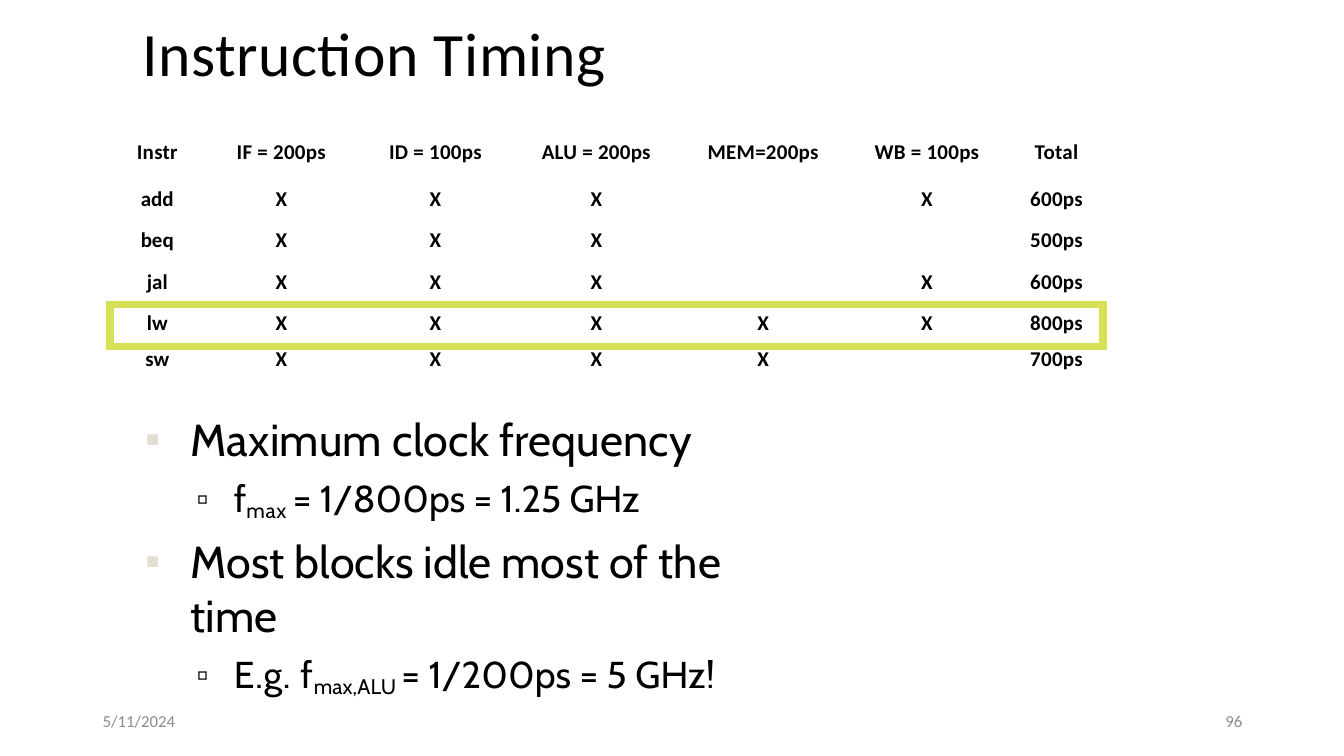
from lxml import etree
from pptx import Presentation
from pptx import util as u
from pptx.dml.color import RGBColor
from pptx.enum import text
from pptx.oxml import ns

COLORS = {"ink": "000000", "bullet": "E4DDD2", "highlight": "D8E156", "footer": "8C8C8C"}
PLAIN_TABLE_STYLE = "{2D5ABB26-0587-4C30-8999-92F81FD0307C}"


def style(span, size, font, color, spacing=0):
    """Format a run; spacing is the letter spacing in points."""
    span.font.size = u.Pt(size)
    span.font.name = font
    span.font.color.rgb = RGBColor.from_string(COLORS[color])
    if spacing:
        span._r.get_or_add_rPr().set("spc", str(round(spacing * 100)))


def add_element(parent, tag, **attributes):
    return etree.SubElement(parent, ns.qn(tag), attributes)


deck = Presentation()
deck.slide_width, deck.slide_height = u.Inches(13.33), u.Inches(7.5)
slide = deck.slides.add_slide(deck.slide_layouts[1])
title, body = slide.placeholders

# Title and body frames
for box, left, top, width, height, inset in [
    (title, 1.39, 0.12, 6.95, 0.76, 0.02),
    (body, 1.39, 3.95, 6.28, 2.42, 0.13),
]:
    box.left, box.top = u.Inches(left), u.Inches(top)
    box.width, box.height = u.Inches(width), u.Inches(height)
    frame = box.text_frame
    frame.margin_left = frame.margin_right = frame.margin_bottom = 0
    frame.margin_top = u.Inches(inset)
    frame.word_wrap = True
    frame.auto_size = text.MSO_AUTO_SIZE.SHAPE_TO_FIT_TEXT

title.text_frame.text = "Instruction Timing"
title.text_frame.vertical_anchor = text.MSO_ANCHOR.MIDDLE
para = title.text_frame.paragraphs[0]
para.alignment = text.PP_ALIGN.LEFT
para._p.get_or_add_pPr().set("marL", str(u.Inches(0.02)))
style(para.runs[0], 44, "Calibri", "ink", 0.4)

# Bullets: level, space before, then (wording, letter spacing, is subscript)
bullets = [
    (0, 0, [("Maximum clock frequency", 0.15, False)]),
    (1, 6.9, [("f", 0, False), ("max ", 0.6, True),
              ("= 1/800ps = 1.25 GHz", -0.05, False)]),
    (0, 8.1, [("Most blocks idle most of the time", 0, False)]),
    (1, 6.9, [("E.g. f", 0.5, False), ("max,ALU ", 0.15, True),
              ("= 1/200ps = 5 GHz!", 0, False)]),
]
levels = [
    dict(indent=0.5, hang=0.45, mark="▪", color="bullet", percent=96, size=32),
    dict(indent=0.93, hang=0.37, mark="▫", color="ink", percent=90, size=26.7),
]
frame = body.text_frame
for index, (level, space, spans) in enumerate(bullets):
    para = frame.add_paragraph() if index else frame.paragraphs[0]
    look = levels[level]
    para.level = level
    props = para._p.get_or_add_pPr()
    props.set("marL", str(u.Inches(look["indent"])))
    props.set("indent", str(-u.Inches(look["hang"])))
    add_element(add_element(props, "a:buClr"), "a:srgbClr", val=COLORS[look["color"]])
    add_element(props, "a:buSzPct", val=str(look["percent"] * 1000))
    add_element(props, "a:buChar", char=look["mark"])
    para.space_before = u.Pt(space)
    for wording, spacing, subscript in spans:
        span = para.add_run()
        span.text = wording
        style(span, 26 if subscript else look["size"], "Cabin", "ink", spacing)
        if subscript:
            span._r.get_or_add_rPr().set("baseline", "-17000")

# Timing table
rows = [
    ["Instr", "IF = 200ps", "ID = 100ps", "ALU = 200ps", "MEM=200ps", "WB = 100ps", "Total"],
    ["add", "X", "X", "X", "", "X", "600ps"],
    ["beq", "X", "X", "X", "", "", "500ps"],
    ["jal", "X", "X", "X", "", "X", "600ps"],
    ["lw", "X", "X", "X", "X", "X", "800ps"],
    ["sw", "X", "X", "X", "X", "", "700ps"],
]
widths = [0.94, 1.52, 1.52, 1.67, 1.66, 1.57, 0.97]
heights = [0.41, 0.41, 0.41, 0.41, 0.42, 0.32]
left_insets = [0, 0, 0.02, 0.02, 0, 0.02, 0.05]
top_insets = [0, 0.06, 0.06, 0.06, 0.06, 0]
slowest = 4
last_column = len(widths) - 1

table = slide.shapes.add_table(
    len(rows), len(widths), u.Inches(1.09), u.Inches(1.38),
    u.Inches(sum(widths)), u.Inches(sum(heights))).table
table.first_row = table.horz_banding = False
table._tbl.tblPr.find(ns.qn("a:tableStyleId")).text = PLAIN_TABLE_STYLE
for column, width in zip(table.columns, widths):
    column.width = u.Inches(width)
for r, row in enumerate(rows):
    table.rows[r].height = u.Inches(heights[r])
    for c, wording in enumerate(row):
        cell = table.cell(r, c)
        cell.margin_left = u.Inches(left_insets[c])
        cell.margin_top = u.Inches(top_insets[r])
        cell.margin_right = cell.margin_bottom = 0
        sides = {
            "a:lnL": r == slowest and c == 0,
            "a:lnR": r == slowest and c == last_column,
            "a:lnT": r in (slowest, slowest + 1),
            "a:lnB": r in (slowest - 1, slowest),
        }
        for side, highlighted in sides.items():
            if highlighted:
                line = add_element(cell._tc.get_or_add_tcPr(), side, w=str(u.Pt(6)))
                add_element(add_element(line, "a:solidFill"), "a:srgbClr",
                            val=COLORS["highlight"])
        cell.fill.background()
        cell.text_frame.text = wording
        para = cell.text_frame.paragraphs[0]
        para.alignment = text.PP_ALIGN.CENTER
        para.font.size = u.Pt(15)
        for span in para.runs:
            style(span, 15, "Calibri", "ink", 0.2 if len(wording) > 3 else 0)
            span.font.bold = True

# Footer
for wording, left, alignment in [
    ("5/11/2024", 0.92, text.PP_ALIGN.LEFT),
    ("96", 9.42, text.PP_ALIGN.RIGHT),
]:
    box = slide.shapes.add_textbox(u.Inches(left), u.Inches(6.95), u.Inches(3), u.Inches(0.4))
    box.text_frame.word_wrap = True
    box.text_frame.vertical_anchor = text.MSO_ANCHOR.MIDDLE
    box.text_frame.text = wording
    para = box.text_frame.paragraphs[0]
    para.alignment = alignment
    style(para.runs[0], 12, "Calibri", "footer")

deck.save("out.pptx")
